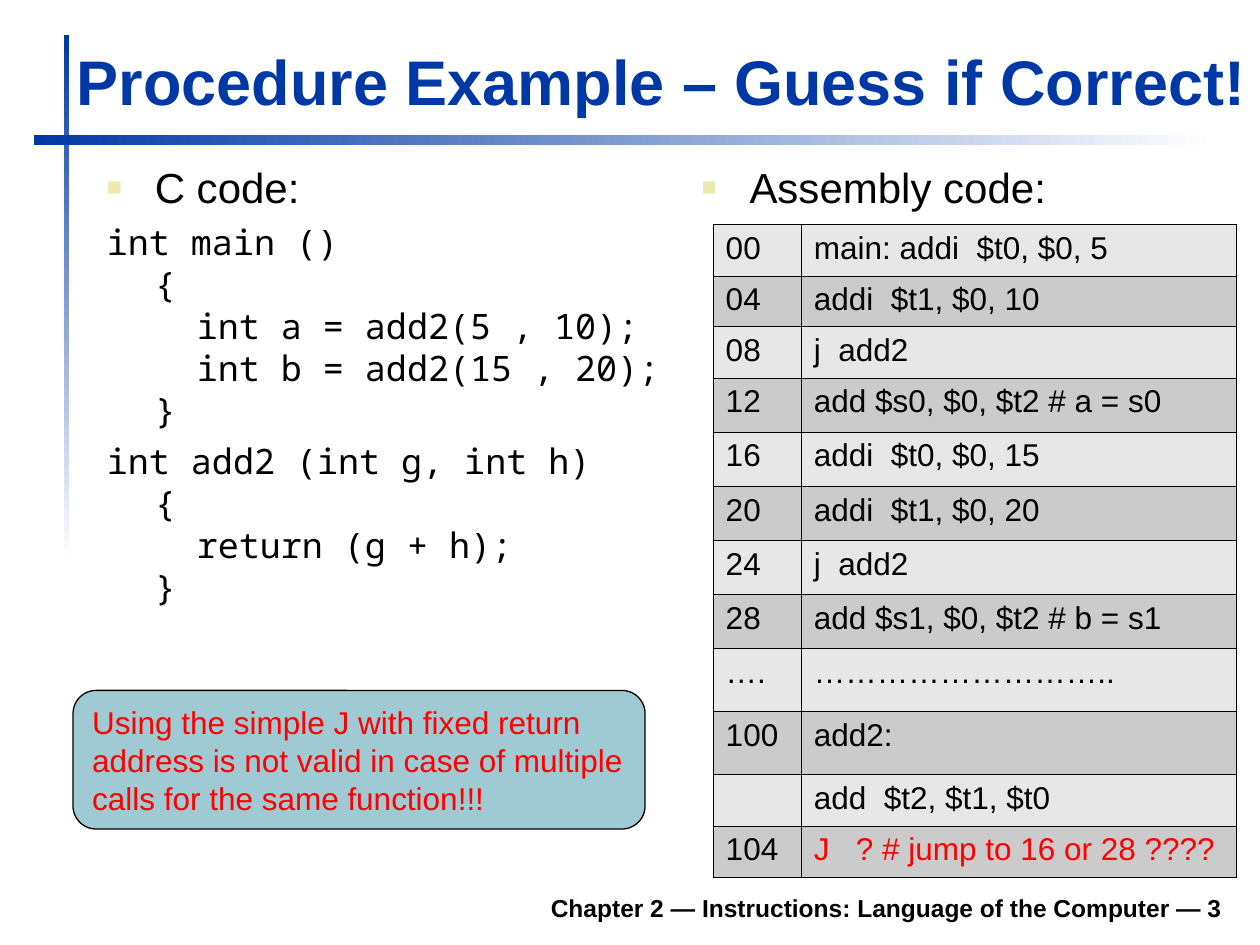
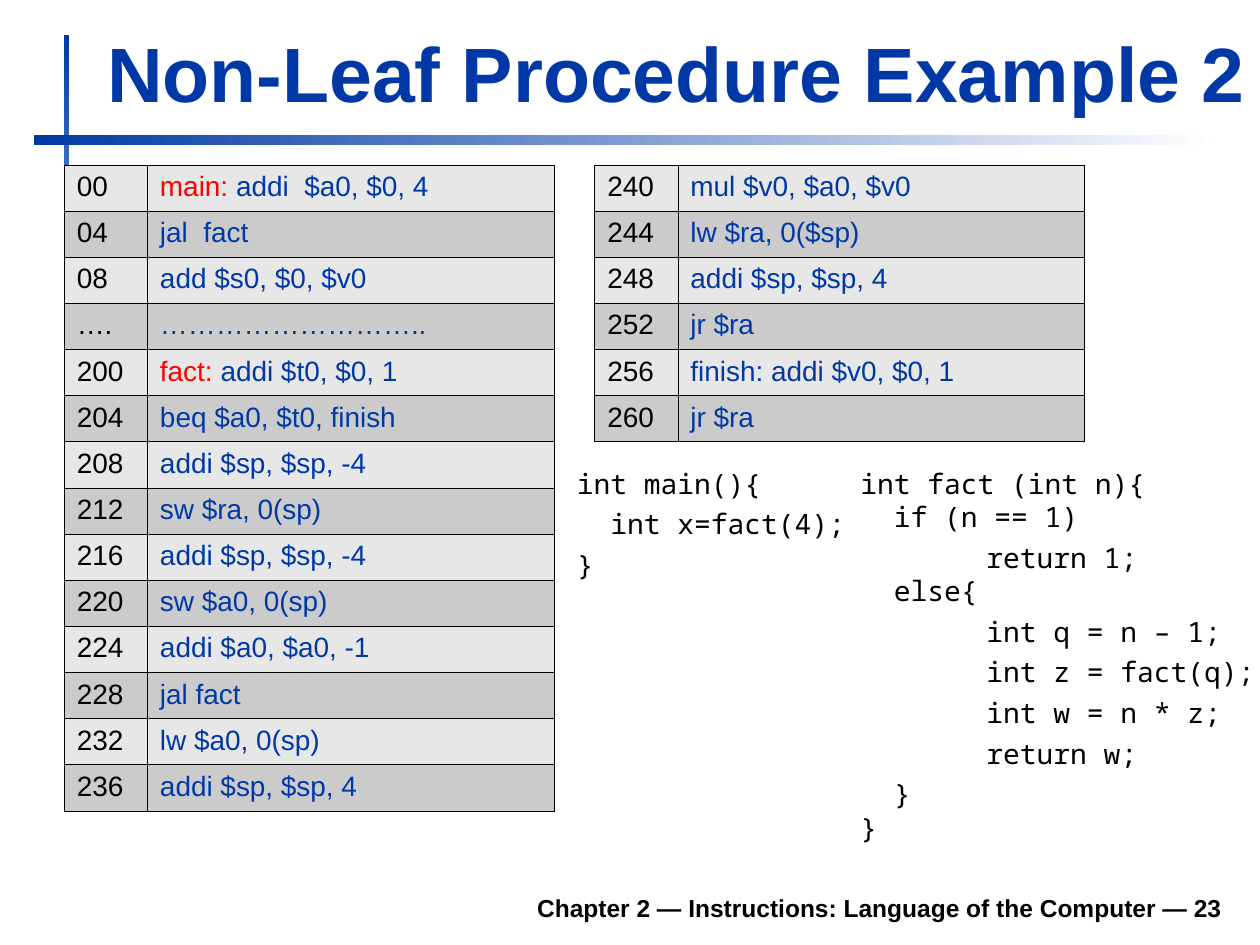
from copy import deepcopy

from lxml import etree
from pptx import Presentation
from pptx.dml.color import RGBColor
from pptx.enum.shapes import MSO_SHAPE
from pptx.enum.text import MSO_ANCHOR, MSO_AUTO_SIZE, PP_ALIGN
from pptx.oxml.ns import qn
from pptx.util import Inches, Pt

BLUE = RGBColor(0x00, 0x39, 0xA6)
WHITE = RGBColor(0xFF, 0xFF, 0xFF)
BLACK = RGBColor(0x00, 0x00, 0x00)
RED = RGBColor(0xFF, 0x00, 0x00)
TEAL = RGBColor(0x9F, 0xCA, 0xD3)
BULLET_YELLOW = RGBColor(0xEC, 0xEA, 0xAC)
ROW_FILLS = RGBColor(0xE7, 0xE7, 0xE7), RGBColor(0xCB, 0xCB, 0xCB)

SANS, MONO = "Arial", "Noto Sans Mono"
HANGING = 0.38
DOTS = "……………………….."


def text_format(size, color=BLACK, name=SANS, bold=False):
    return {"size": Pt(size), "name": name, "bold": bold, "color": color}


def add_element(parent, tag, **attributes):
    element = etree.SubElement(parent, qn(tag))
    for name, value in attributes.items():
        element.set(name, str(value))
    return element


class Deck:
    """Holds the shared style and the slide being built."""

    def __init__(self):
        self.presentation = Presentation()
        self.presentation.slide_width = Inches(10)
        self.presentation.slide_height = Inches(7.5)
        self.slide = None

    def start_slide(self, title, box, size, number):
        layout = self.presentation.slide_layouts[5]
        self.slide = self.presentation.slides.add_slide(layout)
        self.gradient_bar((0.51, 0.28, 0.04, 4.17), 270)
        self.gradient_bar((0.27, 1.07, 9.37, 0.08), 0)

        # Title
        shape = self.slide.shapes.title
        shape.left, shape.top, shape.width, shape.height = map(Inches, box)
        self.prepare_frame(shape.text_frame, MSO_ANCHOR.BOTTOM)
        self.fill_paragraph(shape.text_frame.paragraphs[0], title,
                            text_format(size, BLUE, bold=True))

        # Footer
        frame = self.text_box((1.85, 6.98, 7.95, 0.39), MSO_ANCHOR.BOTTOM)
        footer = f"Chapter 2 — Instructions: Language of the Computer — {number}"
        self.fill_paragraph(frame.paragraphs[0], footer, text_format(14, bold=True),
                            alignment=PP_ALIGN.RIGHT)

    def gradient_bar(self, box, angle):
        shape = self.slide.shapes.add_shape(MSO_SHAPE.RECTANGLE, *map(Inches, box))
        shape.shadow.inherit = False
        shape.line.fill.background()
        shape.fill.gradient()
        shape.fill.gradient_angle = angle
        for stop, color in zip(shape.fill.gradient_stops, (BLUE, WHITE)):
            stop.color.rgb = color

    def prepare_frame(self, frame, anchor):
        settings = {"word_wrap": True, "auto_size": MSO_AUTO_SIZE.NONE,
                    "vertical_anchor": anchor}
        for name, value in settings.items():
            setattr(frame, name, value)

    def text_box(self, box, anchor=MSO_ANCHOR.TOP):
        frame = self.slide.shapes.add_textbox(*map(Inches, box)).text_frame
        self.prepare_frame(frame, anchor)
        return frame

    def fill_paragraph(self, paragraph, text, style, **paragraph_format):
        """Set one string, or a list of (text, color) parts."""
        if isinstance(text, str):
            paragraph.text = text
            colors = [style["color"]] * len(paragraph.runs)
        else:
            colors = [color for _, color in text]
            for part, _ in text:
                paragraph.add_run().text = part
        for run, color in zip(paragraph.runs, colors):
            for name, value in style.items():
                if name != "color":
                    setattr(run.font, name, value)
            run.font.color.rgb = color
        for line_break in paragraph._p.findall(qn("a:br")):
            line_break.insert(0, deepcopy(paragraph.runs[0]._r.rPr))
        settings = {"alignment": PP_ALIGN.LEFT, **paragraph_format}
        for name, value in settings.items():
            setattr(paragraph, name, value)

    def indent(self, paragraph):
        properties = paragraph._p.get_or_add_pPr()
        properties.set("marL", str(Inches(HANGING)))
        properties.set("indent", str(-Inches(HANGING)))
        return properties

    def bullet(self, frame, text):
        paragraph = frame.paragraphs[0]
        properties = self.indent(paragraph)
        color = add_element(properties, "a:buClr")
        add_element(color, "a:srgbClr", val=BULLET_YELLOW)
        add_element(properties, "a:buSzPct", val=60000)
        add_element(properties, "a:buFont", typeface=SANS)
        add_element(properties, "a:buChar", char="■")
        self.fill_paragraph(paragraph, text, text_format(24))

    def code(self, frame, blocks, size, hanging=False):
        for block in blocks:
            first = not frame.text
            paragraph = frame.paragraphs[0] if first else frame.add_paragraph()
            if hanging:
                self.indent(paragraph)
            tabs = add_element(paragraph._p.get_or_add_pPr(), "a:tabLst")
            add_element(tabs, "a:tab", pos=Inches(1), algn="l")
            self.fill_paragraph(paragraph, block, text_format(size, name=MONO),
                                space_before=Pt(0 if first else size / 4),
                                line_spacing=Pt(size * 1.2))

    def listing(self, left, top, widths, heights, rows, size, color):
        """Draw a table of addresses and instructions."""
        table = self.slide.shapes.add_table(
            len(rows), 2, Inches(left), Inches(top),
            Inches(sum(widths)), Inches(sum(heights))).table
        table.first_row = table.horz_banding = False
        for column, width in zip(table.columns, widths):
            column.width = Inches(width)
        for index, (row, height) in enumerate(zip(rows, heights)):
            table.rows[index].height = Inches(height)
            for column, text in enumerate(row):
                cell = table.cell(index, column)
                self.border(cell)
                cell.fill.solid()
                cell.fill.fore_color.rgb = ROW_FILLS[index % 2]
                self.fill_paragraph(cell.text_frame.paragraphs[0], text,
                                    text_format(size, color if column else BLACK))

    def border(self, cell):
        properties = cell._tc.get_or_add_tcPr()
        for side in "LRTB":
            line = add_element(properties, f"a:ln{side}", w=Pt(0.45))
            add_element(add_element(line, "a:solidFill"), "a:srgbClr", val=BLACK)

    def callout(self, box, text):
        shape = self.slide.shapes.add_shape(MSO_SHAPE.ROUNDED_RECTANGLE, *map(Inches, box))
        shape.shadow.inherit = False
        shape.fill.solid()
        shape.fill.fore_color.rgb = TEAL
        shape.line.color.rgb = BLACK
        shape.line.width = Pt(0.75)
        self.prepare_frame(shape.text_frame, MSO_ANCHOR.MIDDLE)
        self.fill_paragraph(shape.text_frame.paragraphs[0], text, text_format(18, RED))


def build_guess_slide(deck):
    deck.start_slide("Procedure Example – Guess if Correct!", (0.51, 0.29, 9.68, 0.7), 36, 3)

    # C code
    frame = deck.text_box((0.75, 1.23, 4.72, 5.59))
    deck.bullet(frame, "C code:")
    deck.code(frame, [
        "int main ()\n{\n  int a = add2(5 , 10);\n  int b = add2(15 , 20);\n}",
        "int add2 (int g, int h)\n{\n  return (g + h);\n}",
    ], 20, hanging=True)

    # Assembly code
    deck.bullet(deck.text_box((5.47, 1.23, 4.41, 5.59)), "Assembly code:")
    rows = [
        ("00", "main: addi  $t0, $0, 5"),
        ("04", "addi  $t1, $0, 10"),
        ("08", "j  add2"),
        ("12", "add $s0, $0, $t2 # a = s0"),
        ("16", "addi  $t0, $0, 15"),
        ("20", "addi  $t1, $0, 20"),
        ("24", "j  add2"),
        ("28", "add $s1, $0, $t2 # b = s1"),
        ("….", DOTS),
        ("100", "add2:"),
        ("", "add  $t2, $t1, $t0"),
        ("104", [("J   ? # jump to 16 or 28 ????", RED)]),
    ]
    heights = [0.41, 0.4, 0.41] + [0.43] * 5 + [0.5, 0.5, 0.4, 0.41]
    deck.listing(5.66, 1.78, (0.7, 3.45), heights, rows, 18, BLACK)

    # Conclusion
    deck.callout((0.58, 5.48, 4.54, 1.1),
                 "Using the simple J with fixed return address is not valid "
                 "in case of multiple calls for the same function!!!")


def build_non_leaf_slide(deck):
    deck.start_slide("Non-Leaf Procedure Example 2", (0.75, -0.59, 9.25, 1.58), 44, 23)

    # Assembly code in two columns
    left_rows = [
        ("00", [("main: ", RED), ("addi  $a0, $0, 4", BLUE)]),
        ("04", "jal  fact"),
        ("08", "add $s0, $0, $v0"),
        ("….", DOTS),
        ("200", [("fact: ", RED), ("addi $t0, $0, 1", BLUE)]),
        ("204", "beq $a0, $t0, finish"),
        ("208", "addi $sp, $sp, -4"),
        ("212", "sw $ra, 0(sp)"),
        ("216", "addi $sp, $sp, -4"),
        ("220", "sw $a0, 0(sp)"),
        ("224", "addi $a0, $a0, -1"),
        ("228", "jal fact"),
        ("232", "lw $a0, 0(sp)"),
        ("236", "addi $sp, $sp, 4"),
    ]
    right_rows = [
        ("240", "mul $v0, $a0, $v0"),
        ("244", "lw $ra, 0($sp)"),
        ("248", "addi $sp, $sp, 4"),
        ("252", "jr $ra"),
        ("256", "finish: addi $v0, $0, 1"),
        ("260", "jr $ra"),
    ]
    row_height = 5.13 / len(left_rows)
    for left, rows in ((0.51, left_rows), (4.72, right_rows)):
        deck.listing(left, 1.31, (0.66, 3.23), [row_height] * len(rows), rows, 16, BLUE)

    # C code
    deck.code(deck.text_box((4.48, 3.65, 2.8, 3.33)),
              ["int main(){", "  int x=fact(4);", "}"], 16)
    deck.code(deck.text_box((6.73, 3.65, 3.37, 3.33)), [
        "int fact (int n){\n  if (n == 1)",
        "\treturn 1;\n  else{",
        "\tint q = n – 1;",
        "\tint z = fact(q);",
        "\tint w = n * z;",
        "\treturn w;",
        "  }\n}",
    ], 16)


def main():
    deck = Deck()
    build_guess_slide(deck)
    build_non_leaf_slide(deck)
    deck.presentation.save("out.pptx")


if __name__ == "__main__":
    main()
